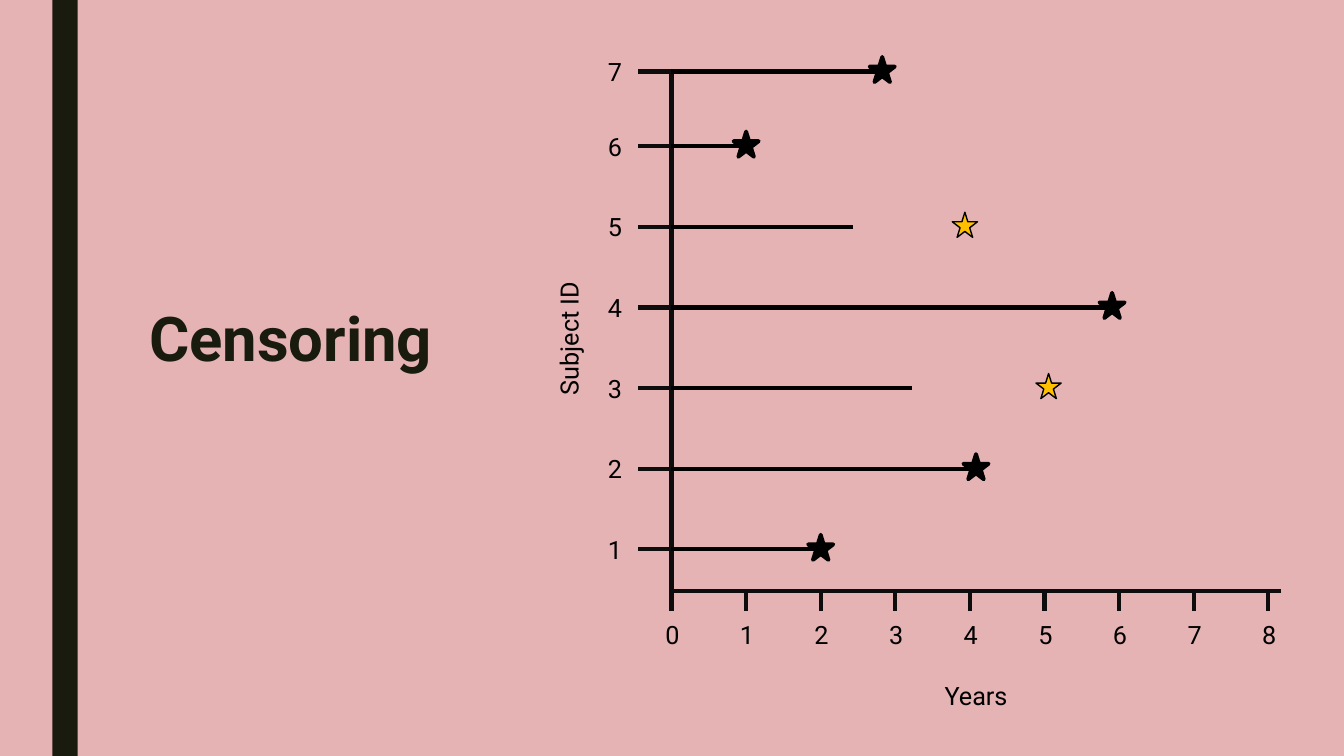
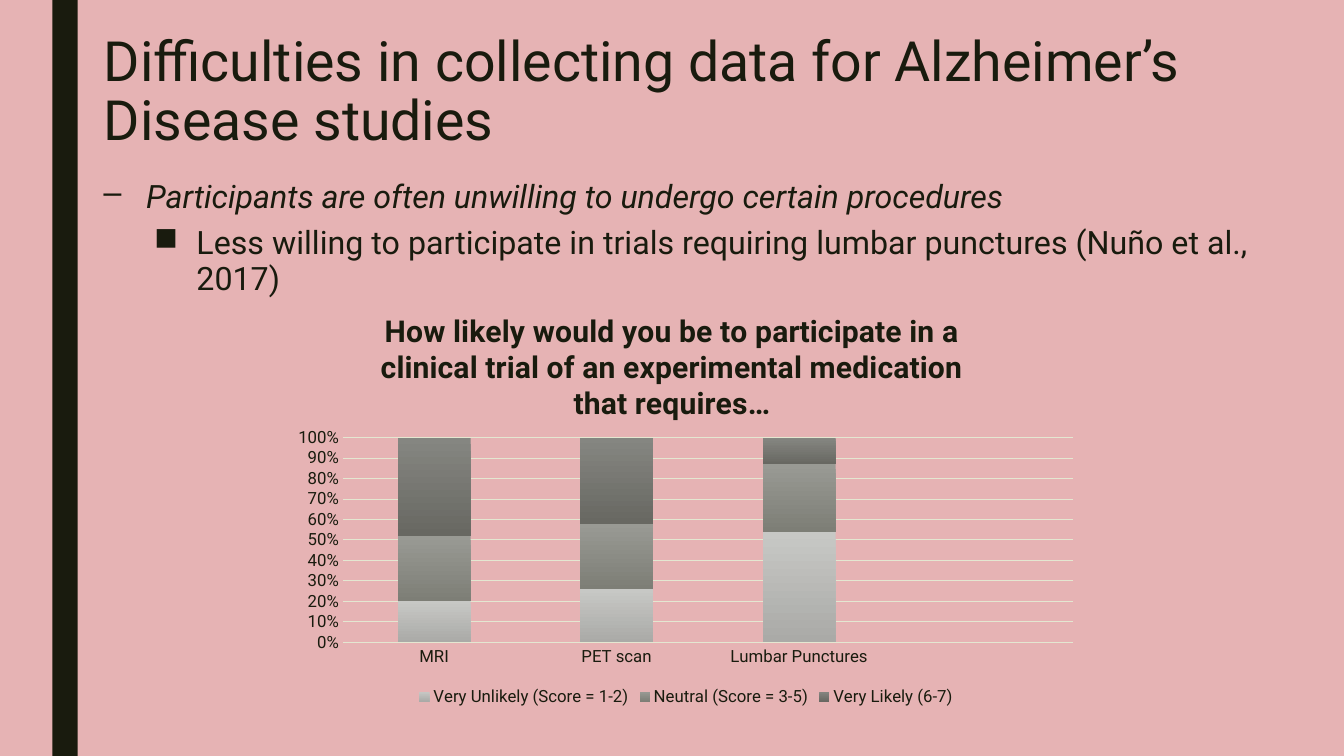
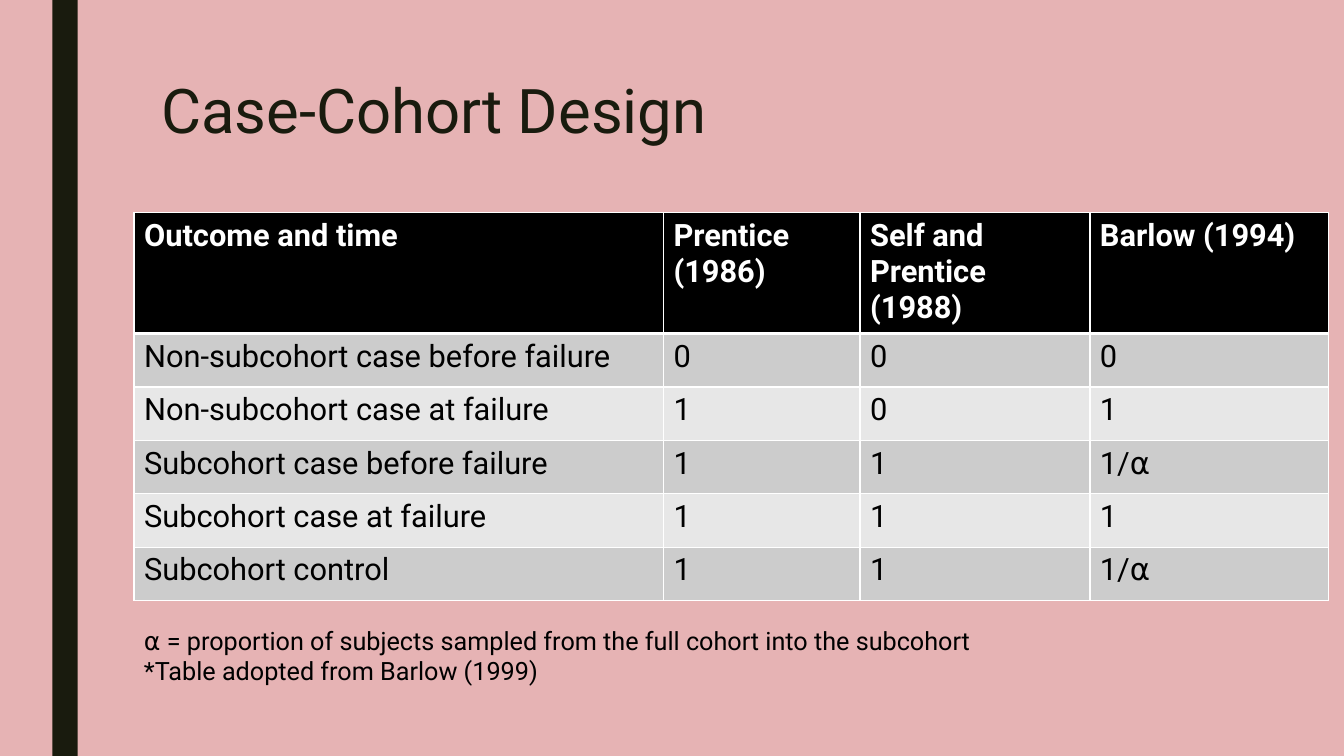
"""Build three slides on survival data and case-cohort design."""
import lxml.etree
import pptx
import pptx.chart.data
import pptx.dml.color
import pptx.enum.chart
import pptx.enum.shapes
import pptx.oxml
import pptx.oxml.ns
import pptx.util

Inches = pptx.util.Inches
Pt = pptx.util.Pt
qn = pptx.oxml.ns.qn
MSO_SHAPE = pptx.enum.shapes.MSO_SHAPE


class Deck:
    FONT = "Roboto"
    COLORS = {
        "back": "E6B3B4", "ink": "191B0E", "axis": "0D0D0D", "black": "000000",
        "white": "FFFFFF", "gold": "FFC000", "grid": "E4E7D1",
        "odd": "CCCCCC", "even": "E7E7E7",
    }

    def __init__(self):
        self.prs = pptx.Presentation()
        self.prs.slide_width = Inches(13.33)
        self.prs.slide_height = Inches(7.5)
        self.paint(self.prs.slide_master.background.fill, "back")
        self.s = None

    def rgb(self, color):
        return pptx.dml.color.RGBColor.from_string(self.COLORS.get(color, color))

    def paint(self, fill, color):
        fill.solid()
        fill.fore_color.rgb = self.rgb(color)

    def font(self, font, size, color="black", bold=False, italic=False):
        font.name = self.FONT
        font.size = Pt(size)
        font.color.rgb = self.rgb(color)
        font.bold = bold
        font.italic = italic

    def format(self, tf, size, color="black", bold=False):
        for p in tf.paragraphs:
            for r in p.runs:
                self.font(r.font, size, color, bold)

    def slide(self):
        self.s = self.prs.slides.add_slide(self.prs.slide_layouts[6])
        self.shape(MSO_SHAPE.RECTANGLE, 0.52, 0, 0.25, 7.5, "ink")

    def shape(self, kind, x, y, w, h, fill, line=None):
        sp = self.s.shapes.add_shape(kind, Inches(x), Inches(y), Inches(w), Inches(h))
        sp.shadow.inherit = False
        self.paint(sp.fill, fill)
        if line is None:
            sp.line.fill.background()
        else:
            sp.line.color.rgb = self.rgb("black")
            sp.line.width = Pt(line)

    def star(self, x, y, fill, line):
        size = 0.25
        self.shape(MSO_SHAPE.STAR_5_POINT, x - size / 2, y - size / 2, size, size, fill, line)

    def line(self, x1, y1, x2, y2, color="axis"):
        cn = self.s.shapes.add_connector(
            pptx.enum.shapes.MSO_CONNECTOR.STRAIGHT,
            Inches(x1), Inches(y1), Inches(x2), Inches(y2))
        cn.line.color.rgb = self.rgb(color)
        cn.line.width = Pt(3)
        lxml.etree.SubElement(cn._element.spPr, qn("a:effectLst"))

    def text(self, text, x, y, w, h=0.4, size=18, color="black", bold=False):
        sp = self.s.shapes.add_textbox(Inches(x), Inches(y), Inches(w), Inches(h))
        tf = sp.text_frame
        tf.word_wrap = True
        tf.text = text
        self.format(tf, size, color, bold)
        return sp

    def title(self, text, x, y, w, size=44, bold=False):
        sp = self.text(text, x, y, w, 1.3, size, "ink", bold)
        sp.text_frame.paragraphs[0].line_spacing = 0.89

    def bullets(self, items, x, y, w, h):
        sp = self.text("\n".join(item[0] for item in items), x, y, w, h, 23, "ink")
        for p, (_, char, margin, italic) in zip(sp.text_frame.paragraphs, items):
            p.line_spacing = 0.94
            p.space_before = Pt(5)
            p.space_after = Pt(2)
            p.runs[0].font.italic = italic
            pPr = p._p.get_or_add_pPr()
            pPr.set("marL", str(Inches(margin)))
            pPr.set("indent", str(Inches(-0.42)))
            lxml.etree.SubElement(pPr, qn("a:buChar")).set("char", char)

    def border(self, cell, side, width):
        ln = lxml.etree.Element(qn("a:ln" + side), w=str(Pt(width)))
        fill = lxml.etree.SubElement(ln, qn("a:solidFill"))
        lxml.etree.SubElement(fill, qn("a:srgbClr")).set("val", self.COLORS["white"])
        return ln

    def table(self, rows, x, y, widths, heights):
        tbl = self.s.shapes.add_table(
            len(rows), len(widths), Inches(x), Inches(y),
            Inches(sum(widths)), Inches(sum(heights))).table
        for col, width in zip(tbl.columns, widths):
            col.width = Inches(width)
        for i, (row, values) in enumerate(zip(tbl.rows, rows)):
            row.height = Inches(heights[i])
            head = i == 0
            fill = "black" if head else "odd" if i % 2 else "even"
            for cell, value in zip(row.cells, values):
                cell.text = value
                self.format(cell.text_frame, 22, "white" if head else "black", head)
                self.paint(cell.fill, fill)
                widths_by_side = {"L": 1, "R": 1, "T": 3 if i == 1 else 1, "B": 3 if head else 1}
                tcPr = cell._tc.get_or_add_tcPr()
                for n, (side, width) in enumerate(widths_by_side.items()):
                    tcPr.insert(n, self.border(cell, side, width))

    def layout(self, parent, index, **values):
        old = parent.find(qn("c:layout"))
        if old is not None:
            parent.remove(old)
        lay = lxml.etree.Element(qn("c:layout"))
        parent.insert(index, lay)
        manual = lxml.etree.SubElement(lay, qn("c:manualLayout"))
        if "w" in values:
            lxml.etree.SubElement(manual, qn("c:layoutTarget")).set("val", "inner")
        for key in ("x", "y"):
            lxml.etree.SubElement(manual, qn(f"c:{key}Mode")).set("val", "edge")
        for key, value in values.items():
            lxml.etree.SubElement(manual, qn("c:" + key)).set("val", str(value))

    def chart(self, title, cats, series, x, y, w, h):
        data = pptx.chart.data.CategoryChartData(number_format="General")
        data.categories = cats
        for name, values, _ in series:
            data.add_series(name, values)
        chart = self.s.shapes.add_chart(
            pptx.enum.chart.XL_CHART_TYPE.COLUMN_STACKED_100,
            Inches(x), Inches(y), Inches(w), Inches(h), data).chart
        self.font(chart.font, 12, "ink")
        tf = chart.chart_title.text_frame
        tf.text = title
        self.format(tf, 21.5, "ink", True)
        self.layout(chart.chart_title._element, 1, x=0.115, y=0.05)
        self.layout(chart._chartSpace.chart.plotArea, 0, x=0.075, y=0.36, w=0.904, h=0.48)
        chart.has_legend = True
        chart.legend.position = pptx.enum.chart.XL_LEGEND_POSITION.BOTTOM
        chart.legend.include_in_layout = False
        self.font(chart.legend.font, 12, "ink")
        for axis in (chart.category_axis, chart.value_axis):
            axis.major_tick_mark = pptx.enum.chart.XL_TICK_MARK.NONE
            self.font(axis.tick_labels.font, 12, "ink")
        grid = chart.value_axis.major_gridlines.format.line
        for line in (chart.category_axis.format.line, grid):
            line.color.rgb = self.rgb("grid")
            line.width = Pt(0.75)
        chart.value_axis.format.line.fill.background()
        chart.value_axis.tick_labels.number_format = "0%"
        chart.value_axis.tick_labels.number_format_is_linked = False
        plot = chart.plots[0]
        plot.gap_width = 150
        plot.overlap = 100
        plot.vary_by_categories = False
        for ser, (_, _, shades) in zip(plot.series, series):
            fill = ser.format.fill
            fill.gradient()
            fill.gradient_angle = 270
            for stop, shade in zip(fill.gradient_stops, shades):
                stop.color.rgb = self.rgb(shade)


def censoring(deck):
    deck.slide()
    deck.title("Censoring", 1.38, 3.02, 4.35, bold=True)
    left, base, year = 6.66, 5.86, 0.74
    deck.line(left, 0.69, left, base)
    deck.line(12.71, base, left, base)
    for n in range(9):
        x = left + n * year
        deck.line(x, base, x, base + 0.2)
        deck.text(str(n), x - 0.16, 6.09, 0.4)
    deck.text("Years", 9.27, 6.7, 2.88)
    subjects = [
        (5.45, 8.14, 8.14, True), (4.65, 9.62, 9.68, True),
        (3.85, 9.05, 10.4, False), (3.05, 11.05, 11.03, True),
        (2.25, 8.46, 9.57, False), (1.45, 7.39, 7.4, True),
        (0.71, 8.73, 8.75, True),
    ]
    for n, (y, end, event, observed) in enumerate(subjects, 1):
        deck.line(left - 0.33, y, left, y)
        deck.text(str(n), 5.93, y - 0.2, 0.4)
        deck.line(left, y, end, y, "black")
        fill, width = ("black", 2.75) if observed else ("gold", 1)
        deck.star(event, y - 0.02, fill, width)
    deck.text("Subject ID", 4.02, 2.2, 3.24).rotation = 270


def difficulties(deck):
    deck.slide()
    deck.title("Difficulties in collecting data for Alzheimer’s Disease studies",
               0.93, 0.29, 12.09, 39.6)
    deck.bullets([
        ("Participants are often unwilling to undergo certain procedures", "–", 1, True),
        ("Less willing to participate in trials requiring lumbar punctures "
         "(Nuño et al., 2017)", "■", 1.5, False),
    ], 0.35, 1.73, 12.65, 1.3)
    deck.chart(
        "How likely would you be to participate in a clinical trial of an "
        "experimental medication that requires…",
        ["MRI", "PET scan", "Lumbar Punctures", ""],
        [("Very Unlikely (Score = 1-2)", [20, 26, 54, None], ("C7C8C5", "AAAAA7")),
         ("Neutral (Score = 3-5)", [32, 32, 33, None], ("999A94", "7D7E76")),
         ("Very Likely (6-7)", [48, 42, 13, None], ("858681", "686862"))],
        2.8, 2.82, 8.01, 4.23)


def case_cohort(deck):
    deck.slide()
    deck.title("Case-Cohort Design", 1.5, 0.75, 10.5)
    deck.table([
        ("Outcome and time", "Prentice (1986)", "Self and Prentice (1988)", "Barlow (1994)"),
        ("Non-subcohort case before failure", "0", "0", "0"),
        ("Non-subcohort case at failure", "1", "0", "1"),
        ("Subcohort case before failure", "1", "1", "1/⍺"),
        ("Subcohort case at failure", "1", "1", "1"),
        ("Subcohort control", "1", "1", "1/⍺"),
    ], 1.33, 2.11, [5.25, 1.95, 2.28, 2.37], [1.19] + [0.53] * 5)
    deck.text("⍺ = proportion of subjects sampled from the full cohort into the subcohort\n"
              "*Table adopted from Barlow (1999)", 1.33, 6.15, 9.83, 0.71)


def main():
    deck = Deck()
    censoring(deck)
    difficulties(deck)
    case_cohort(deck)
    deck.prs.save("out.pptx")


if __name__ == "__main__":
    main()
